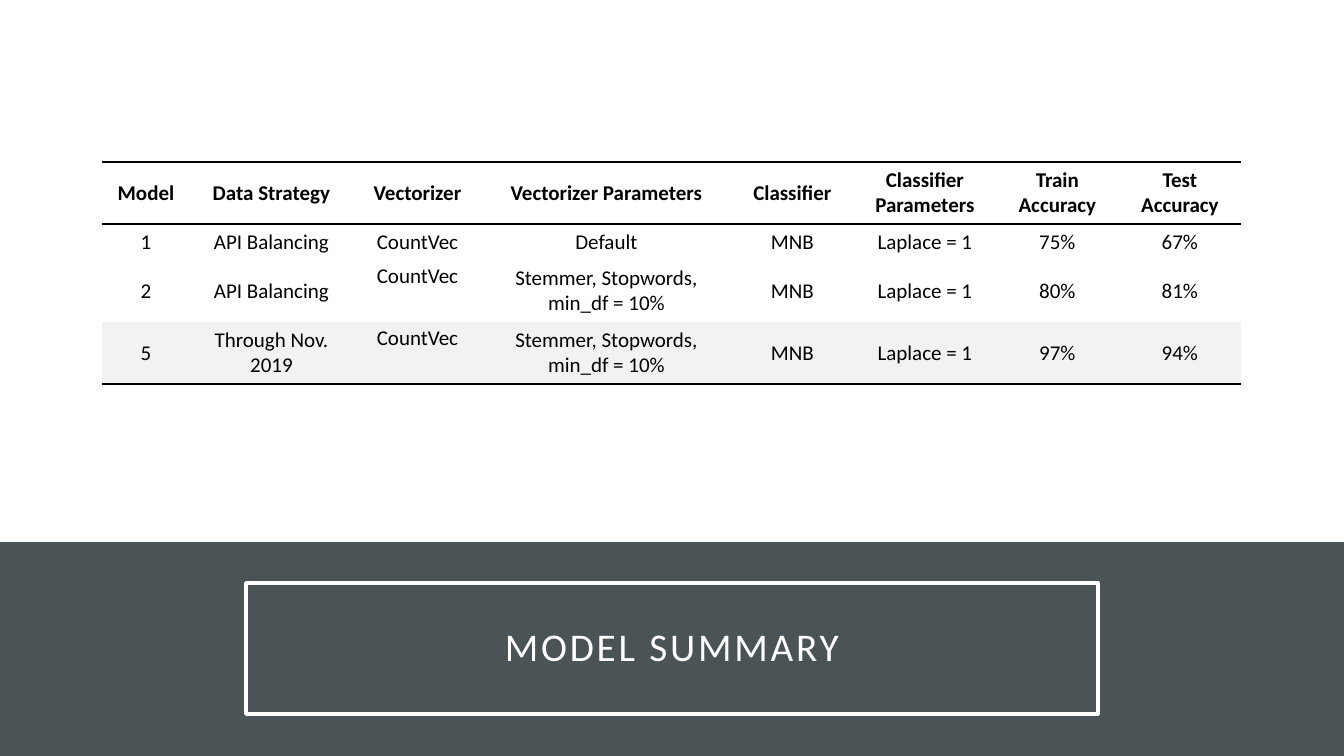
from lxml import etree
from pptx import Presentation
from pptx.dml.color import RGBColor
from pptx.enum.shapes import MSO_SHAPE
from pptx.enum.text import MSO_ANCHOR, MSO_AUTO_SIZE, PP_ALIGN
from pptx.oxml.ns import qn
from pptx.util import Emu, Pt

SLATE = RGBColor(0x4A, 0x53, 0x56)
WHITE = RGBColor(0xFF, 0xFF, 0xFF)
BLACK = RGBColor(0x00, 0x00, 0x00)
PALE_GREY = RGBColor(0xF2, 0xF2, 0xF2)
FONT = "Calibri"
EMU_PER_PX = 914400 / 100.8

SLIDE_WIDTH, SLIDE_HEIGHT = 1344, 756
PANEL_HEIGHT = 542
COLUMN_WIDTHS = [88, 163, 129, 249, 123, 142, 123, 122]
ROW_HEIGHTS = [62, 36, 62, 62]
VECTORIZER_COLUMN = 2
MODELS = [
    ["Model", "Data Strategy", "Vectorizer", "Vectorizer Parameters",
     "Classifier", "Classifier Parameters", "Train Accuracy", "Test Accuracy"],
    ["1", "API Balancing", "CountVec", "Default",
     "MNB", "Laplace = 1", "75%", "67%"],
    ["2", "API Balancing", "CountVec", "Stemmer, Stopwords, min_df = 10%",
     "MNB", "Laplace = 1", "80%", "81%"],
    ["5", "Through Nov. 2019", "CountVec", "Stemmer, Stopwords, min_df = 10%",
     "MNB", "Laplace = 1", "97%", "94%"],
]


def px(length):
    return Emu(round(length * EMU_PER_PX))


def write_text(text_frame, text, size, color, bold=False, spacing=0, line_spacing=1.0):
    """Write one centred paragraph; spacing is the letter spacing in points."""
    paragraph = text_frame.paragraphs[0]
    paragraph.alignment = PP_ALIGN.CENTER
    paragraph.line_spacing = line_spacing
    run = paragraph.add_run()
    run.text = text
    run.font.name = FONT
    run.font.size = Pt(size)
    run.font.bold = bold
    run.font.color.rgb = color
    if spacing:
        run.font._element.set("spc", str(spacing * 100))


def set_borders(cell, ruled_sides):
    """Rule the given sides (T, B) in black and clear the others."""
    properties = cell._tc.get_or_add_tcPr()
    for side in "LRTB":
        line = etree.SubElement(properties, qn(f"a:ln{side}"))
        if side in ruled_sides:
            line.set("w", str(Pt(1)))
            fill = etree.SubElement(line, qn("a:solidFill"))
            etree.SubElement(fill, qn("a:srgbClr"), val=str(BLACK))
        else:
            line.set("w", "0")
            etree.SubElement(line, qn("a:noFill"))


def add_panel(slide, left, top, width, height):
    panel = slide.shapes.add_shape(
        MSO_SHAPE.RECTANGLE, px(left), px(top), px(width), px(height))
    panel.shadow.inherit = False
    panel.fill.solid()
    panel.fill.fore_color.rgb = WHITE
    panel.line.fill.background()


def place_title(slide, left, top, width, height):
    title = slide.shapes.title
    title.left, title.top = px(left), px(top)
    title.width, title.height = px(width), px(height)
    title.line.color.rgb = WHITE
    title.line.width = Pt(2.5)
    text_frame = title.text_frame
    text_frame.word_wrap = True
    text_frame.auto_size = MSO_AUTO_SIZE.NONE
    text_frame.vertical_anchor = MSO_ANCHOR.MIDDLE
    text_frame.margin_left = text_frame.margin_right = px(20)
    text_frame.margin_top = text_frame.margin_bottom = px(20)
    write_text(text_frame, "MODEL SUMMARY", size=28, color=WHITE,
               spacing=2, line_spacing=0.9)


def add_model_table(slide, left, top):
    table = slide.shapes.add_table(
        len(MODELS), len(COLUMN_WIDTHS), px(left), px(top),
        px(sum(COLUMN_WIDTHS)), px(sum(ROW_HEIGHTS))).table
    table.first_row = table.horz_banding = False
    for column, width in zip(table.columns, COLUMN_WIDTHS):
        column.width = px(width)
    for row, height in zip(table.rows, ROW_HEIGHTS):
        row.height = px(height)

    last_row = len(MODELS) - 1
    ruled_sides = {0: "TB", 1: "T", last_row: "B"}
    for row_index, values in enumerate(MODELS):
        for column_index, value in enumerate(values):
            cell = table.cell(row_index, column_index)
            set_borders(cell, ruled_sides.get(row_index, ""))
            cell.fill.solid()
            cell.fill.fore_color.rgb = PALE_GREY if row_index == last_row else WHITE
            cell.margin_left = cell.margin_right = px(8)
            cell.margin_top = cell.margin_bottom = px(4)
            at_top = column_index == VECTORIZER_COLUMN and row_index > 1
            cell.vertical_anchor = MSO_ANCHOR.TOP if at_top else MSO_ANCHOR.MIDDLE
            write_text(cell.text_frame, value, size=15, color=BLACK,
                       bold=row_index == 0)


def main():
    presentation = Presentation()
    presentation.slide_width = px(SLIDE_WIDTH)
    presentation.slide_height = px(SLIDE_HEIGHT)
    slide = presentation.slides.add_slide(presentation.slide_layouts[5])
    slide.background.fill.solid()
    slide.background.fill.fore_color.rgb = SLATE
    add_panel(slide, 0, 0, SLIDE_WIDTH, PANEL_HEIGHT)
    place_title(slide, 246, 583, 852, 131)
    add_model_table(slide, 102, 162)
    presentation.save("out.pptx")


if __name__ == "__main__":
    main()
